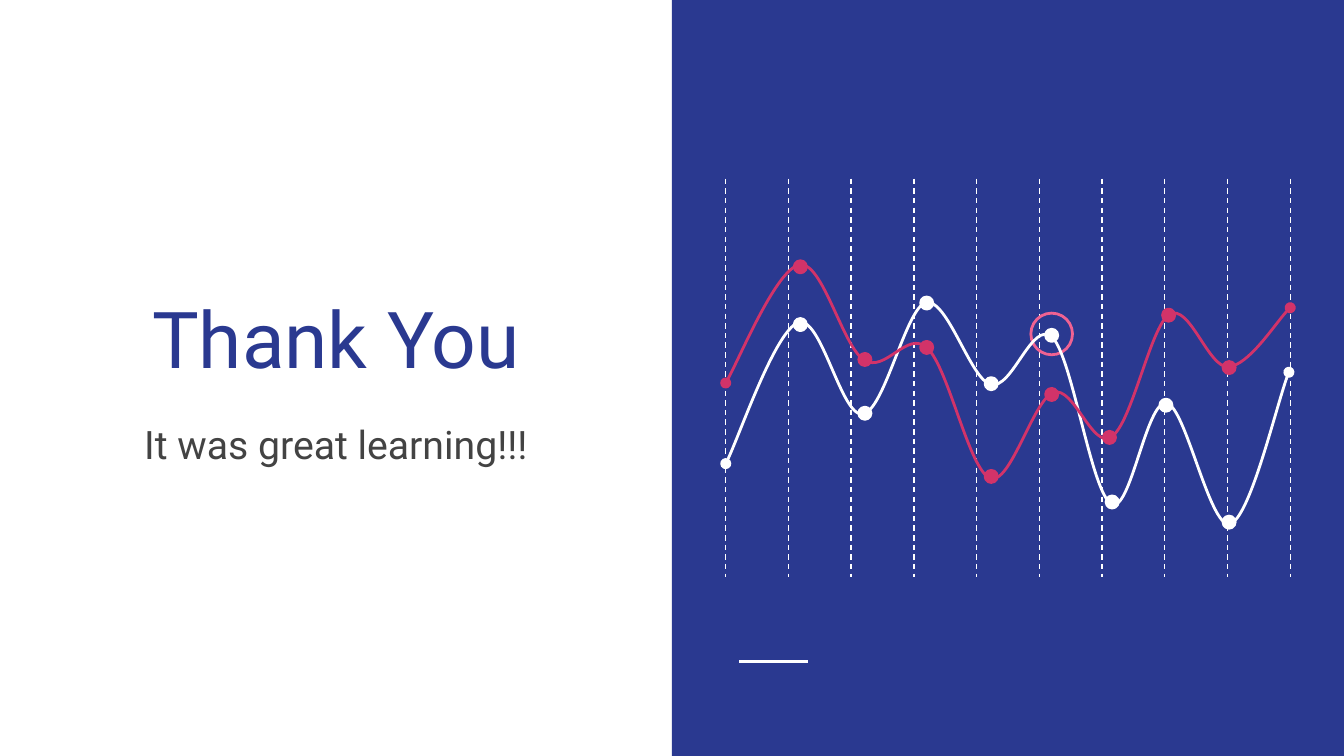
import pptx
import pptx.util
import pptx.dml.color
import pptx.enum.dml
import pptx.enum.shapes
import pptx.enum.text
import pptx.oxml
import pptx.oxml.ns

Inches, Pt = pptx.util.Inches, pptx.util.Pt
SHAPE = pptx.enum.shapes.MSO_SHAPE
ANCHOR = pptx.enum.text.MSO_ANCHOR
qn = pptx.oxml.ns.qn
NS = pptx.oxml.ns.nsdecls("a")
BLUE, WHITE, RED, PINK, GREY = "2A3990", "FFFFFF", "D23369", "F06292", "434343"


def rgb(color):
    return pptx.dml.color.RGBColor.from_string(color)


def style(sp, fill=None, line=None):
    """Set fill and outline of a shape; None means there is none."""
    sp.shadow.inherit = False
    if fill:
        sp.fill.solid()
        sp.fill.fore_color.rgb = rgb(fill)
    else:
        sp.fill.background()
    if line:
        sp.line.color.rgb = rgb(line)
        sp.line.width = Pt(1.5)
    else:
        sp.line.fill.background()


prs = pptx.Presentation()
prs.slide_width = Inches(10)
prs.slide_height = prs.slide_width * 9 // 16
s = prs.slides.add_slide(prs.slide_layouts[6])

# Right half
panel = s.shapes.add_shape(SHAPE.RECTANGLE, Inches(5), 0, Inches(5), prs.slide_height)
style(panel, BLUE)

# Footer rule and ten evenly spaced grid lines
rules = [(5.5, 4.92, 6.01, 4.92, 1.5, None)]
for i in range(10):
    x = 5.4 + i * 4.2 / 9
    rules.append((x, 1.33, x, 4.29, 0.75, pptx.enum.dml.MSO_LINE.DASH))
for x1, y1, x2, y2, width, dash in rules:
    rule = s.shapes.add_connector(pptx.enum.shapes.MSO_CONNECTOR.STRAIGHT,
                                  Inches(x1), Inches(y1), Inches(x2), Inches(y2))
    rule.line.color.rgb = rgb(WHITE)
    rule.line.width = Pt(width)
    if dash:
        rule.line.dash_style = dash
    rule._element.spPr.append(pptx.oxml.parse_xml(f"<a:effectLst {NS}/>"))

# Highlight ring
ring = s.shapes.add_shape(SHAPE.OVAL, Inches(7.67), Inches(2.33), Inches(0.31), Inches(0.31))
style(ring, line=PINK)

# Title and subtitle
texts = [
    ("Thank You", 1.25, 1.71, 42, BLUE, ANCHOR.BOTTOM),
    ("It was great learning!!!", 3.03, 1.39, 21, GREY, ANCHOR.TOP),
]
for text, top, height, size, color, anchor in texts:
    tf = s.shapes.add_textbox(Inches(0.29), Inches(top), Inches(4.42), Inches(height)).text_frame
    tf.word_wrap = True
    tf.vertical_anchor = anchor
    tf.margin_left = tf.margin_right = tf.margin_top = tf.margin_bottom = Inches(0.1)
    p = tf.paragraphs[0]
    p.alignment = pptx.enum.text.PP_ALIGN.CENTER
    r = p.add_run()
    r.text = text
    r.font.name = "Roboto"
    r.font.size = Pt(size)
    r.font.color.rgb = rgb(color)

# Curves: a start point, then two control points and an end point per segment
white_curve = [
    (5.4, 3.45),
    (5.49, 3.28), (5.77, 2.46), (5.94, 2.4),
    (6.11, 2.34), (6.26, 3.11), (6.42, 3.08),
    (6.58, 3.06), (6.74, 2.29), (6.89, 2.25),
    (7.05, 2.22), (7.22, 2.82), (7.37, 2.86),
    (7.53, 2.91), (7.68, 2.37), (7.83, 2.51),
    (7.98, 2.66), (8.12, 3.67), (8.27, 3.75),
    (8.41, 3.83), (8.53, 2.97), (8.68, 3),
    (8.82, 3.02), (9, 3.93), (9.15, 3.9),
    (9.3, 3.86), (9.51, 2.96), (9.59, 2.77),
]
red_curve = [
    (5.4, 2.85),
    (5.49, 2.7), (5.78, 2), (5.95, 1.97),
    (6.12, 1.94), (6.27, 2.58), (6.43, 2.68),
    (6.59, 2.78), (6.75, 2.45), (6.9, 2.59),
    (7.06, 2.74), (7.21, 3.5), (7.37, 3.56),
    (7.52, 3.61), (7.69, 2.97), (7.84, 2.92),
    (7.99, 2.87), (8.13, 3.35), (8.27, 3.25),
    (8.42, 3.16), (8.56, 2.43), (8.7, 2.34),
    (8.85, 2.25), (8.99, 2.74), (9.14, 2.73),
    (9.29, 2.72), (9.52, 2.36), (9.6, 2.29),
]
# Left and top of the dots, which sit slightly off the curve points
white_dots = [(5.91, 2.37), (6.39, 3.03), (6.85, 2.21), (7.33, 2.81),
              (7.78, 2.45), (8.23, 3.69), (8.63, 2.97), (9.1, 3.84)]
red_dots = [(5.91, 1.94), (6.39, 2.63), (6.85, 2.54), (7.33, 3.5),
            (7.78, 2.89), (8.21, 3.21), (8.65, 2.3), (9.1, 2.69)]
for color, curve, dots in ((WHITE, white_curve, white_dots), (RED, red_curve, red_dots)):
    points = [(Inches(x), Inches(y)) for x, y in curve]
    builder = s.shapes.build_freeform(*points[0])
    builder.add_line_segments(points[1:], close=False)
    sp = builder.convert_to_shape()
    style(sp, line=color)
    for end in ("headEnd", "tailEnd"):
        sp.line._get_or_add_ln().append(pptx.oxml.parse_xml(f'<a:{end} {NS} type="oval"/>'))

    # Every three straight segments become one Bézier segment
    outline = sp._element.find(".//" + qn("a:path"))
    segments = outline.findall(qn("a:lnTo"))
    for i in range(0, len(segments), 3):
        bezier = pptx.oxml.parse_xml(f"<a:cubicBezTo {NS}/>")
        for segment in segments[i:i + 3]:
            bezier.append(segment[0])
            outline.remove(segment)
        outline.append(bezier)

    for left, top in dots:
        dot = s.shapes.add_shape(SHAPE.OVAL, Inches(left), Inches(top), Inches(0.09), Inches(0.09))
        style(dot, color, color)

prs.save("out.pptx")
